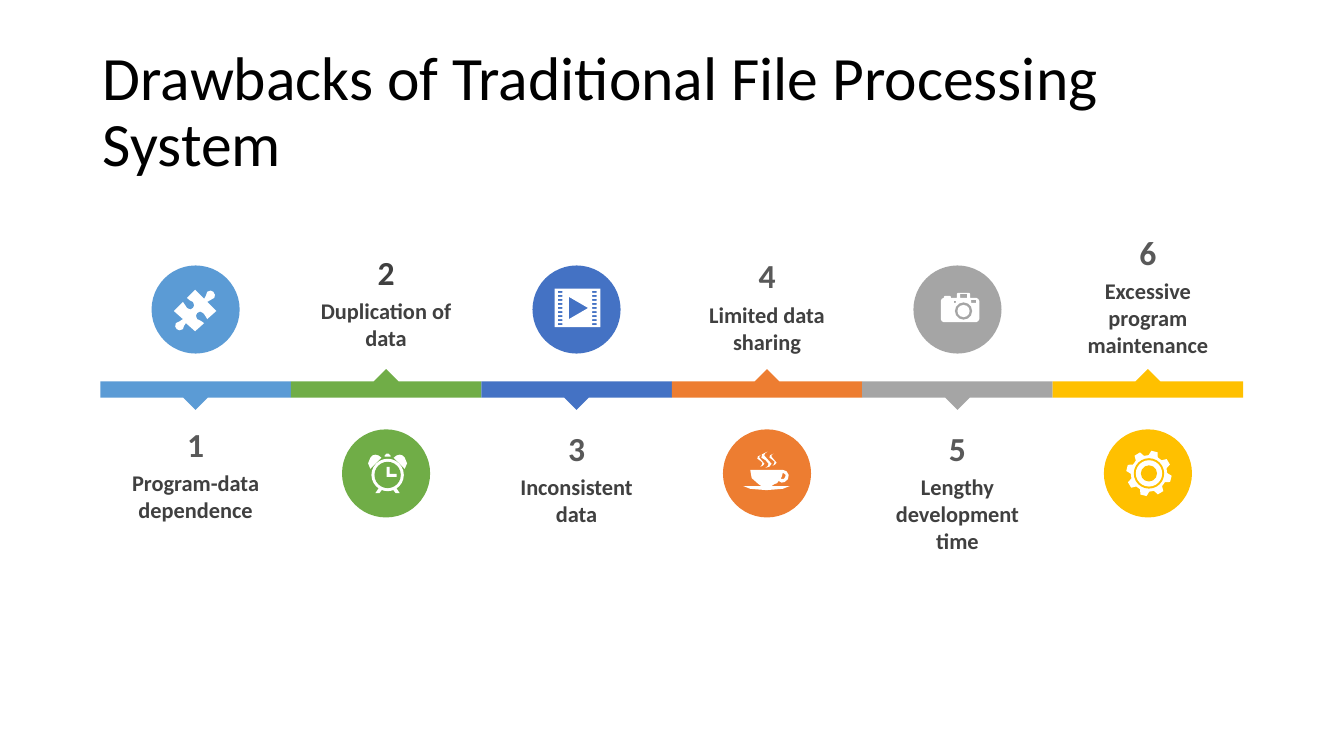
import math
import pptx
import pptx.dml.color
import pptx.enum.shapes
import pptx.enum.text
import pptx.util

Cm = pptx.util.Cm
GRID = 87
WHITE = "FFFFFF"


def tint(code):
    return pptx.dml.color.RGBColor.from_string(code)


def paint(shape, code):
    shape.shadow.inherit = False
    shape.fill.solid()
    shape.fill.fore_color.rgb = tint(code)
    shape.line.fill.background()


def write(slide, box, text, size, code, bold=False, align=None):
    frame = slide.shapes.add_textbox(*box).text_frame
    frame.word_wrap = True
    frame.text = text
    para = frame.paragraphs[0]
    para.alignment = align
    font = para.runs[0].font
    font.name = "Calibri"
    font.size = pptx.util.Pt(size)
    font.bold = bold
    font.color.rgb = tint(code)
    return frame


def bend(loop):
    points = []
    for item in loop:
        if len(item) == 2:
            points.append(item)
            continue
        knots = [points[-1], item[:2], item[2:4], item[4:]]
        for t in (0.5, 1):
            parts = ((1 - t) ** 3, 3 * t * (1 - t) ** 2, 3 * t * t * (1 - t), t ** 3)
            points.append(tuple(sum(w * k[axis] for w, k in zip(parts, knots)) for axis in (0, 1)))
    return points


def draw(slide, box, loops, code, unit):
    left, top = box[:2]
    pen = None
    for loop in loops:
        spots = [(round(left + x * unit), round(top + y * unit)) for x, y in bend(loop)]
        if pen is None:
            pen = slide.shapes.build_freeform(*spots[0])
        else:
            pen.move_to(*spots[0])
        pen.add_line_segments(spots[1:], close=True)
    paint(pen.convert_to_shape(), code)


def disc(slide, box, code):
    paint(slide.shapes.add_shape(pptx.enum.shapes.MSO_SHAPE.OVAL, *box), code)


def rings(slide, box, x, y, sizes, codes):
    unit = box[2] / GRID
    for size, code in zip(sizes, codes):
        left, top = box[0] + (x - size) * unit, box[1] + (y - size) * unit
        span = round(2 * size * unit)
        disc(slide, (round(left), round(top), span, span), code)


def mark(slide, box, loops):
    draw(slide, box, loops, WHITE, box[2] / GRID)


def rect(x, y, right, low):
    return [(x, y), (right, y), (right, low), (x, low)]


def polar(x, y, size, angle):
    turn = math.radians(angle)
    return x + size * math.cos(turn), y + size * math.sin(turn)


def shift(loop, dx, dy):
    return [tuple(n + (dy if i % 2 else dx) for i, n in enumerate(item)) for item in loop]


def flip(loop):
    return [tuple(n if i % 2 else 90 - n for i, n in enumerate(item)) for item in loop]


def puzzle(slide, box, code):
    mark(slide, box, [[
        (61, 26), (63, 28, 63, 30, 62, 32), (60, 35, 57, 33, 55, 36), (64, 45), (55, 53),
        (52, 51, 54, 48, 51, 47), (49, 45, 47, 45, 45, 47), (44, 48, 43, 51, 45, 53),
        (48, 55, 49, 54, 52, 57), (43, 65), (34, 57), (31, 59, 33, 60, 31, 63),
        (29, 65, 26, 64, 25, 63), (23, 62, 23, 59, 24, 57), (26, 55, 29, 56, 31, 53),
        (22, 45), (31, 36), (34, 38, 33, 41, 35, 42), (37, 44, 40, 44, 41, 42),
        (42, 41, 43, 38, 41, 36), (38, 34, 37, 35, 35, 32), (43, 24), (52, 33),
        (55, 30, 53, 29, 55, 26), (57, 24, 60, 25, 61, 26)]])


def clock(slide, box, code):
    hands = [(44, 37), (47, 37), (47, 44), (54, 44), (54, 47), (44, 47)]
    foot = [(37, 57), (33, 63), (37, 63), (40, 59)]
    bell = [(33, 25), (35, 25, 37, 26, 39, 28), (28, 39),
            (25, 36, 25, 31, 28, 28), (29, 26, 31, 25, 33, 25)]
    knob = [(42, 27), (42, 26), (44, 24), (46, 24), (48, 26), (48, 27)]
    rings(slide, box, 45, 45, (16, 13), (WHITE, code))
    mark(slide, box, [hands, foot, flip(foot), bell, flip(bell), knob])


def film(slide, box, code):
    holes = [rect(x, y, x + 4.5, y + 2) for x in (25, 59) for y in range(25, 58, 4)]
    mark(slide, box, [rect(22, 23, 67, 61), [(36, 31), (36, 53), (55, 42)]] + holes)


def cup(slide, box, code):
    bowl = [(59, 40), (62, 40, 64, 42, 65, 45), (65, 48, 64, 51, 61, 52),
            (59, 53, 57, 53, 55, 51), (54, 53, 53, 54, 51, 54), (48, 56),
            (66, 56), (66, 58, 55, 60, 43, 60), (31, 60, 20, 58, 20, 56), (38, 56),
            (35, 54), (29, 51, 26, 46, 27, 40)]
    grip = [(59, 43), (59, 45, 58, 47, 57, 49), (60, 49),
            (61, 48, 62, 47, 62, 45), (61, 44, 60, 43, 59, 43)]
    steam = [(38, 25), (37, 26, 35, 26, 36, 28), (36, 31, 41, 31, 41, 34),
             (40, 36, 39, 36, 37, 37), (38, 36, 39, 35, 39, 33),
             (39, 31, 35, 31, 34, 29), (33, 27, 35, 26, 38, 25)]
    plume = [(44, 22), (42, 24, 40, 24, 41, 26), (41, 30, 48, 30, 48, 34),
             (47, 37, 46, 37, 42, 38), (44, 37, 45, 36, 45, 34),
             (45, 31, 40, 30, 38, 28), (37, 25, 39, 24, 44, 22)]
    mark(slide, box, [bowl, grip, steam, plume, shift(steam, 12, -1)])


def camera(slide, box, code):
    body = [(44, 27), (55, 27), (56, 28), (56, 32), (62, 32), (64, 33), (65, 35),
            (65, 53), (64, 55), (62, 56), (30, 56), (28, 55), (27, 53), (27, 35),
            (28, 33), (30, 32), (30, 31), (31, 30), (36, 30), (37, 31), (37, 32),
            (43, 32), (43, 28)]
    mark(slide, box, [body, rect(46, 28, 53, 32), rect(40, 35, 42, 37), rect(57, 34, 62, 37)])
    rings(slide, box, 49.5, 45, (8.5, 6), (code, WHITE))


def gear(slide, box, code):
    x, y = 44.5, 43.5
    rim = [polar(x, y, size, mid + side) for mid in range(-76, 284, 45)
           for size, side in ((18, -15), (22.5, -8), (22.5, 8), (18, 15))]
    mark(slide, box, [rim])
    rings(slide, box, x, y, (15, 13, 8), (code, WHITE, code))


def head(slide, box):
    frame = write(slide, box, "Drawbacks of Traditional File Processing System", 44, "000000")
    frame.vertical_anchor = pptx.enum.text.MSO_ANCHOR.MIDDLE
    frame.paragraphs[0].line_spacing = 0.9


def stage(slide, box, place, label, code, icon, rise, shade):
    left, top, width, height = box
    mid = left + width // 2
    above = place % 2 == 0
    full = width / Cm(1)
    deep = height / Cm(1)
    edge, tip = (0, -0.31) if above else (deep, deep + 0.31)
    notch = [(full / 2 - 0.31, edge), (full / 2, tip), (full / 2 + 0.31, edge)]
    upper, lower = [(0, 0), (full, 0)], [(full, deep), (0, deep)]
    if above:
        upper[1:1] = notch
    else:
        lower[1:1] = notch[::-1]
    draw(slide, box, [upper + lower], code, Cm(1))

    side = Cm(2.22)
    badge = (mid - side // 2, top + Cm(1.21 if above else -2.92), side, side)
    disc(slide, badge, code)
    icon(slide, badge, code)

    wide = Cm(4.02)
    high = top + Cm(rise)
    center = pptx.enum.text.PP_ALIGN.CENTER
    for text, drop, tall, size, ink in ((str(place), 0, 1.27, 24, shade),
                                        (label, 1.15, 1.63, 16, "404040")):
        area = (mid - wide // 2, high + Cm(drop), wide, Cm(tall))
        write(slide, area, text, size, ink, True, center)


def main():
    deck = pptx.Presentation()
    deck.slide_width, deck.slide_height = Cm(33.87), Cm(19.05)
    slide = deck.slides.add_slide(deck.slide_layouts[6])
    head(slide, (Cm(2.34), Cm(1.02), Cm(30.25), Cm(3.68)))
    stages = [
        ("Program-data dependence", "5B9BD5", puzzle, 0.94, "595959"),
        ("Duplication of data", "70AD47", clock, -3.39, "404040"),
        ("Inconsistent data", "4472C4", film, 1.04, "595959"),
        ("Limited data sharing", "ED7D31", cup, -3.3, "595959"),
        ("Lengthy development time", "A5A5A5", camera, 1.04, "595959"),
        ("Excessive program maintenance", "FFC000", gear, -3.89, "595959"),
    ]
    width = Cm(4.8)
    for place, parts in enumerate(stages, 1):
        box = (Cm(2.53) + (place - 1) * width, Cm(9.61), width, Cm(0.41))
        stage(slide, box, place, *parts)
    deck.save("out.pptx")


if __name__ == "__main__":
    main()
